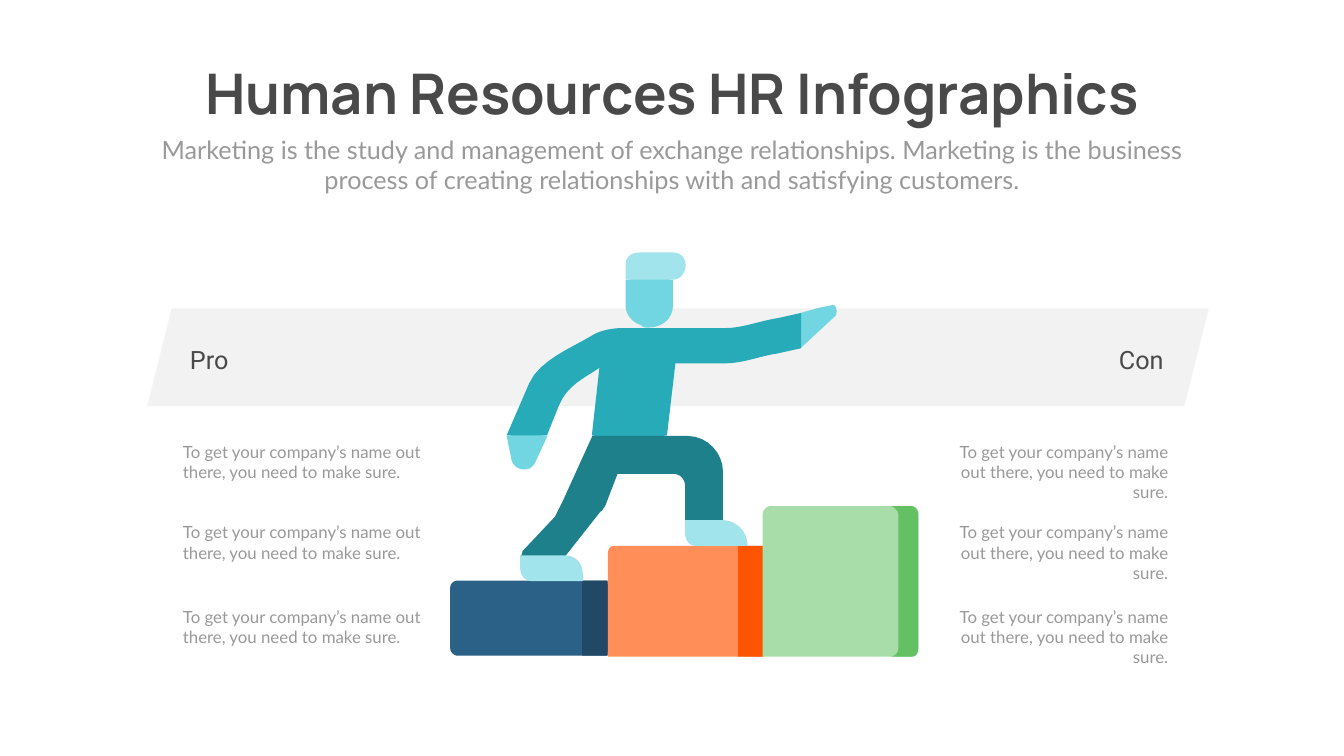
from pptx import Presentation
from pptx.dml.color import RGBColor
from pptx.enum.shapes import MSO_SHAPE
from pptx.enum.text import MSO_ANCHOR, MSO_AUTO_SIZE, PP_ALIGN
from pptx.util import Pt

PX = 9144  # EMU per px, 100 px to the inch
CURVE_STEPS = 8

DARK = RGBColor(0x49, 0x49, 0x49)
GREY = RGBColor(0x99, 0x99, 0x99)
BAND = RGBColor(0xF2, 0xF2, 0xF2)
SKIN = RGBColor(0x71, 0xD6, 0xE1)
PALE = RGBColor(0xA1, 0xE4, 0xEB)
SHIRT = RGBColor(0x27, 0xAB, 0xB9)
TROUSERS = RGBColor(0x1D, 0x80, 0x8B)
BLUE = RGBColor(0x2C, 0x61, 0x87)
BLUE_SIDE = RGBColor(0x21, 0x49, 0x65)
ORANGE = RGBColor(0xFF, 0x8E, 0x58)
ORANGE_SIDE = RGBColor(0xFF, 0x54, 0x02)
GREEN = RGBColor(0xA8, 0xDC, 0xA8)
GREEN_SIDE = RGBColor(0x63, 0xC0, 0x63)

prs = Presentation()
prs.slide_width, prs.slide_height = 2666 * PX, 1500 * PX
s = prs.slides.add_slide(prs.slide_layouts[0])


def put_text(text, box, size, font, color, align=PP_ALIGN.LEFT, bold=False, wrap=True, sp=None):
    """Write text in the box (left, top, width, height), in placeholder sp if given."""
    box = [v * PX for v in box]
    if sp is None:
        sp = s.shapes.add_textbox(*box)
    sp.left, sp.top, sp.width, sp.height = box
    tf = sp.text_frame
    tf.word_wrap = wrap
    tf.auto_size = MSO_AUTO_SIZE.NONE
    tf.vertical_anchor = MSO_ANCHOR.TOP
    p = tf.paragraphs[0]
    p.alignment = align
    p.space_before = Pt(0)
    r = p.add_run()
    r.text = text
    r.font.size, r.font.name, r.font.bold = Pt(size), font, bold
    r.font.color.rgb = color


def draw_outline(color, start, *parts):
    """Fill a closed outline; a part is a line (x, y) or a cubic (x1, y1, x2, y2, x, y)."""
    points, (x0, y0) = [], start
    for part in parts:
        if len(part) == 2:
            points.append(part)
        else:
            x1, y1, x2, y2, x3, y3 = part
            for i in range(1, CURVE_STEPS + 1):
                t = i / CURVE_STEPS
                u = 1 - t
                a, b, c, d = u**3, 3 * u * u * t, 3 * u * t * t, t**3
                points.append((a * x0 + b * x1 + c * x2 + d * x3,
                               a * y0 + b * y1 + c * y2 + d * y3))
        x0, y0 = part[-2:]
    builder = s.shapes.build_freeform(start[0] * PX, start[1] * PX)
    builder.add_line_segments([(x * PX, y * PX) for x, y in points], close=True)
    sp = builder.convert_to_shape()
    sp.shadow.inherit = False
    sp.fill.solid()
    sp.fill.fore_color.rgb = color
    sp.line.fill.background()


# Heading
put_text("Human Resources HR Infographics", (328, 112, 2011, 145), 80, "Manrope", DARK,
         align=PP_ALIGN.CENTER, bold=True, wrap=False, sp=s.shapes.title)
put_text("Marketing is the study and management of exchange relationships. Marketing is the "
         "business process of creating relationships with and satisfying customers.",
         (292, 261, 2082, 131), 36, "Lato", GREY, align=PP_ALIGN.CENTER, sp=s.placeholders[1])

# Band behind the figure
band = s.shapes.add_shape(MSO_SHAPE.PARALLELOGRAM, 292 * PX, 612 * PX, 2106 * PX, 194 * PX)
band.shadow.inherit = False
band.fill.solid()
band.fill.fore_color.rgb = BAND
band.line.fill.background()

# Hands and outstretched arm
draw_outline(SKIN, (1658, 626), (1588, 691), (1584, 651), (1588, 621), (1623, 611), (1648, 606),
             (1658, 601, 1662, 616, 1658, 626))
draw_outline(SKIN, (1086, 865), (1061, 919), (1051, 939, 1021, 934, 1015, 914),
             (1005, 865), (1041, 860))
draw_outline(SHIRT, (1589, 621), (1589, 691), (1544, 701), (1509, 706, 1474, 721, 1439, 721),
             (1265, 721), (1265, 651), (1439, 651), (1474, 651, 1509, 636, 1544, 631))

# Three steps, each with a darker side
draw_outline(BLUE, (1205, 1152), (1211, 1226), (1205, 1301), (907, 1301),
             (903, 1301, 893, 1296, 893, 1286), (893, 1166), (893, 1156, 903, 1152, 907, 1152))
draw_outline(BLUE_SIDE, (1205, 1152), (1211, 1226), (1205, 1301), (1155, 1301), (1155, 1152))
draw_outline(ORANGE, (1514, 1083), (1529, 1193), (1514, 1303), (1206, 1303), (1206, 1098),
             (1206, 1088, 1211, 1083, 1221, 1083))
draw_outline(ORANGE_SIDE, (1514, 1083), (1529, 1193), (1514, 1303), (1464, 1303), (1464, 1083))
draw_outline(GREEN, (1822, 1019), (1822, 1287), (1822, 1297, 1818, 1303, 1808, 1303),
             (1513, 1303), (1513, 1019), (1513, 1014, 1519, 1004, 1529, 1004), (1808, 1004),
             (1818, 1004, 1822, 1014, 1822, 1019))
draw_outline(GREEN_SIDE, (1821, 1019), (1821, 1287), (1821, 1297, 1816, 1303, 1806, 1303),
             (1767, 1303), (1772, 1303, 1782, 1297, 1782, 1287), (1782, 1019),
             (1782, 1014, 1772, 1004, 1767, 1004), (1806, 1004),
             (1816, 1004, 1821, 1014, 1821, 1019))

# Torso with bent arm, then legs
draw_outline(SHIRT, (1348, 651), (1323, 864), (1248, 874), (1174, 864), (1189, 730),
             (1159, 750, 1125, 765, 1109, 804), (1085, 864), (1005, 864), (1050, 760),
             (1070, 715, 1134, 690, 1174, 666), (1189, 656, 1214, 651, 1234, 651))
draw_outline(TROUSERS, (1434, 935), (1434, 1034), (1399, 1040), (1359, 1034), (1359, 965),
             (1359, 950, 1349, 940, 1334, 940), (1225, 940), (1200, 1005),
             (1195, 1010, 1195, 1015, 1191, 1015), (1121, 1104), (1076, 1114), (1032, 1104),
             (1036, 1099, 1036, 1099, 1036, 1094), (1101, 1025),
             (1106, 1015, 1111, 1005, 1116, 995), (1175, 865), (1364, 865),
             (1404, 865, 1434, 900, 1434, 935))

# Shoes, face and hair
draw_outline(PALE, (1483, 1083), (1379, 1083), (1369, 1083, 1359, 1073, 1359, 1058),
             (1359, 1032), (1433, 1032), (1458, 1032, 1483, 1052, 1483, 1083))
draw_outline(PALE, (1156, 1138), (1156, 1153), (1056, 1153),
             (1042, 1153, 1032, 1143, 1032, 1128), (1032, 1102), (1121, 1102),
             (1141, 1102, 1156, 1117, 1156, 1138))
draw_outline(SKIN, (1335, 556), (1335, 606), (1335, 631, 1315, 650, 1286, 650),
             (1281, 650, 1276, 650, 1271, 645), (1256, 640, 1241, 626, 1241, 606),
             (1241, 556), (1291, 547))
draw_outline(PALE, (1360, 526), (1360, 541, 1350, 555, 1335, 555), (1241, 555), (1241, 526),
             (1241, 511, 1250, 501, 1270, 501), (1335, 501), (1350, 501, 1360, 511, 1360, 526))

# Pro and con columns
columns = [("Pro", 367, 353, 559, PP_ALIGN.LEFT), ("Con", 1992, 1844, 483, PP_ALIGN.RIGHT)]
for label, label_left, left, width, align in columns:
    for top in (871, 1031, 1198):
        put_text("To get your company’s name out there, you need to make sure.",
                 (left, top, width, 91), 24, "Lato", GREY, align=align)
    put_text(label, (label_left, 679, 326, 71), 36, "Roboto", DARK, align=align)

prs.save("out.pptx")
